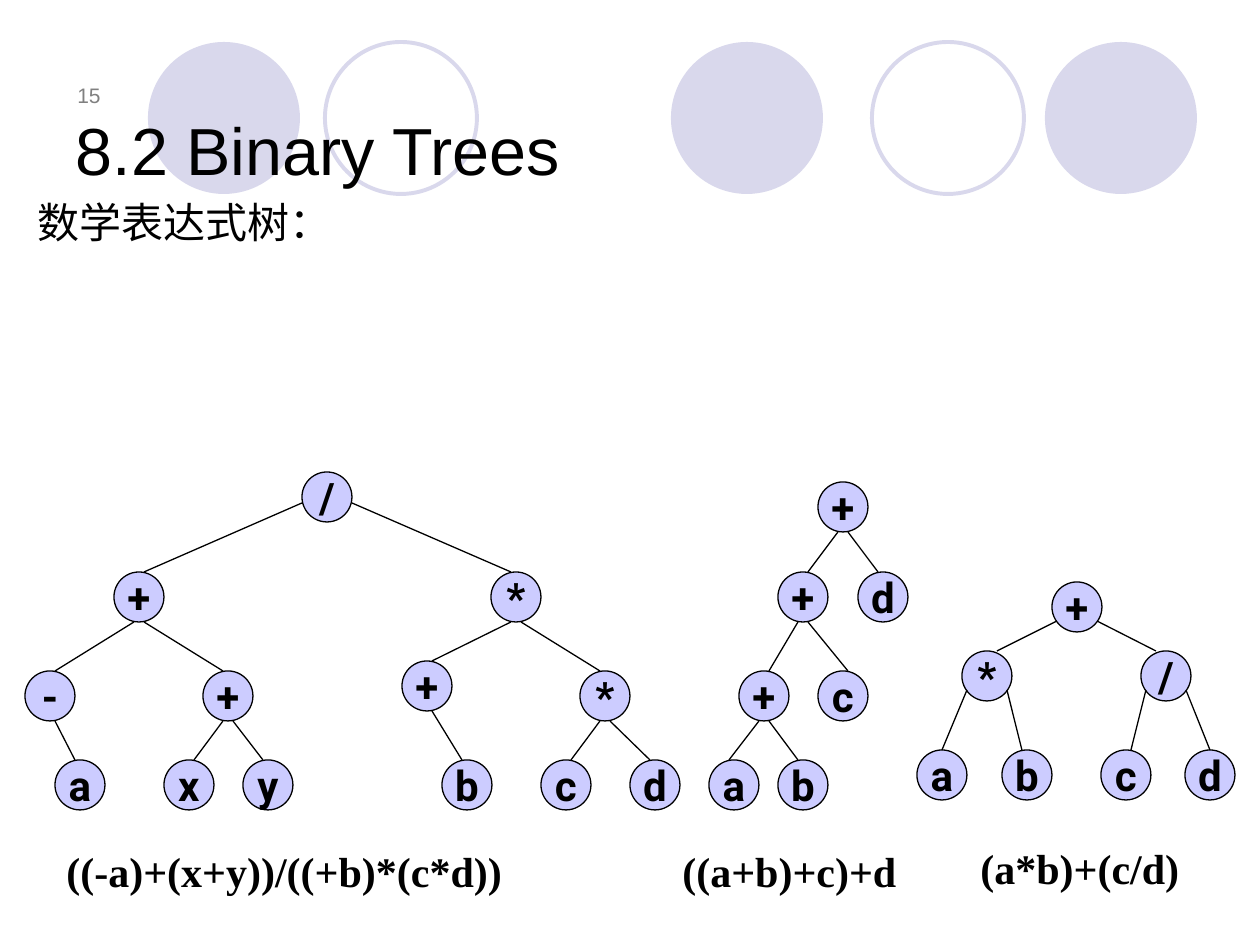
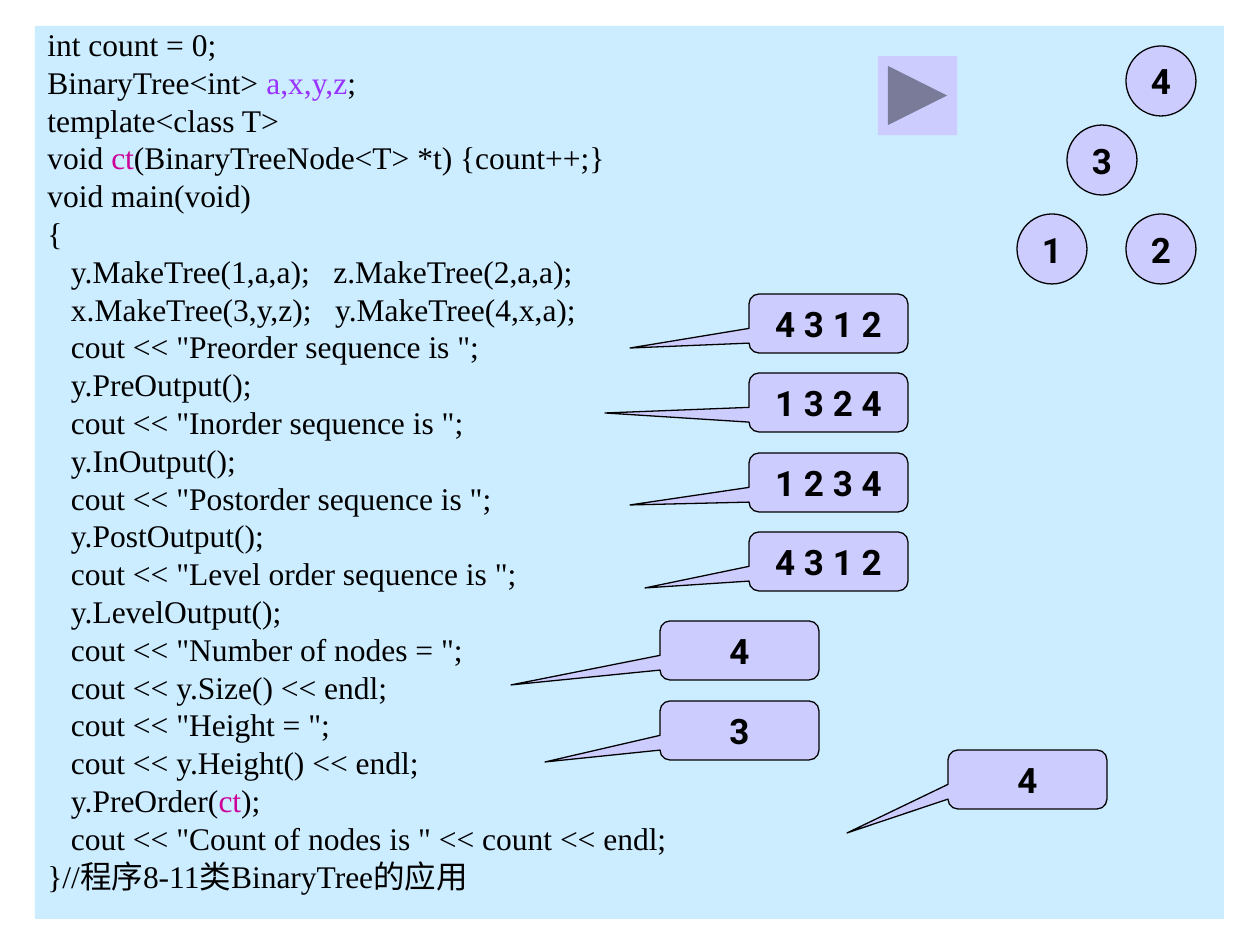
from lxml.etree import SubElement
from pptx import Presentation
from pptx.dml.color import RGBColor
from pptx.enum.shapes import MSO_CONNECTOR, MSO_SHAPE
from pptx.enum.text import MSO_ANCHOR, PP_ALIGN
from pptx.oxml.ns import qn
from pptx.util import Inches, Pt

PX = 914400 // 126
BLACK = RGBColor(0x00, 0x00, 0x00)
GRAY = RGBColor(0x80, 0x80, 0x80)
LILAC = RGBColor(0xCC, 0xCC, 0xFF)
PALE = RGBColor(0xD9, 0xD8, 0xEC)
SKY = RGBColor(0xCC, 0xEC, 0xFF)
PURPLE = RGBColor(0x99, 0x33, 0xFF)
MAGENTA = RGBColor(0xCC, 0x00, 0x99)
ARIAL, ROBOTO, TIMES = "Arial", "Roboto", "Times New Roman"


def add_box(s, kind, x, y, w, h, fill=None, line=None, width=0.75):
    box = (x * PX, y * PX, w * PX, h * PX)
    if kind is None:
        return s.shapes.add_textbox(*box)
    sp = s.shapes.add_shape(kind, *box)
    sp.shadow.inherit = False
    if fill is None:
        sp.fill.background()
    else:
        sp.fill.solid()
        sp.fill.fore_color.rgb = fill
    if line is None:
        sp.line.fill.background()
    else:
        sp.line.color.rgb = line
        sp.line.width = Pt(width)
    return sp


def write(sp, lines, size, font, align=PP_ALIGN.LEFT, anchor=MSO_ANCHOR.TOP, bold=False, wrap=True):
    tf = sp.text_frame
    tf.word_wrap = wrap
    tf.vertical_anchor = anchor
    for i, runs in enumerate(lines):
        p = tf.paragraphs[0] if i == 0 else tf.add_paragraph()
        p.alignment = align
        for text, color in runs:
            r = p.add_run()
            r.text = text
            r.font.size = Pt(size)
            r.font.name = font
            r.font.bold = bold
            r.font.color.rgb = color
    return tf


prs = Presentation()
prs.slide_width = Inches(10)
prs.slide_height = Inches(7.5)

s = prs.slides.add_slide(prs.slide_layouts[5])
for x, filled in [(671, True), (1045, True), (148, True), (872, False), (325, False)]:
    add_box(s, MSO_SHAPE.OVAL, x, 42, 152, 152, PALE if filled else None, None if filled else PALE, 2.25)

sp = add_box(s, None, 44, 55, 69, 59)
write(sp, [[("15", GRAY)]], 12, ARIAL, PP_ALIGN.RIGHT, MSO_ANCHOR.BOTTOM)

title = s.shapes.title
title.left, title.top, title.width, title.height = 63 * PX, 38 * PX, 1134 * PX, 157 * PX
title.element.getparent().append(title.element)
write(title, [[("8.2 Binary Trees", BLACK)]], 38, ARIAL, anchor=MSO_ANCHOR.BOTTOM)

sp = add_box(s, None, 25, 185, 1189, 258)
tf = write(sp, [[("数学表达式树：", BLACK)]], 24, ARIAL)
tf.paragraphs[0].line_spacing = 1.1

# node: label, centre x, centre y, branch spread, branch drop, parent, edge end offset
trees = [
    [
        ("/", 327, 497, 25, 6, None, 0),
        ("+", 139, 597, 5, 25, 0, 5),
        ("*", 516, 597, 5, 25, 0, -5),
        ("-", 50, 696, 5, 25, 1, 5),
        ("+", 228, 696, 5, 25, 1, -5),
        ("+", 427, 686, 5, 25, 2, 5),
        ("*", 605, 696, 5, 25, 2, -5),
        ("a", 80, 785, 5, 25, 3, -5),
        ("x", 189, 785, 5, 25, 4, 5),
        ("y", 268, 785, 5, 25, 4, -5),
        ("b", 467, 785, 5, 25, 5, -5),
        ("c", 566, 785, 5, 25, 6, 5),
        ("d", 655, 785, 5, 25, 6, -5),
    ],
    [
        ("+", 843, 507, 5, 25, None, 0),
        ("+", 803, 597, 5, 25, 0, 5),
        ("d", 883, 597, 5, 25, 0, -5),
        ("+", 764, 696, 5, 25, 1, 5),
        ("c", 843, 696, 5, 25, 1, 5),
        ("a", 734, 785, 5, 25, 3, -5),
        ("b", 803, 785, 5, 25, 3, -5),
    ],
    [
        ("+", 1077, 607, 20, 14, None, 0),
        ("*", 987, 676, 20, 14, 0, 10),
        ("/", 1166, 676, 20, 14, 0, -10),
        ("a", 942, 775, 5, 25, 1, 0),
        ("b", 1027, 775, 5, 25, 1, -5),
        ("c", 1126, 775, 5, 25, 2, 5),
        ("d", 1210, 775, 5, 25, 2, 0),
    ],
]
for nodes in trees:
    for label, x, y, spread, drop, parent, shift in nodes:
        sp = add_box(s, MSO_SHAPE.OVAL, x - 25, y - 25, 50, 50, LILAC, BLACK)
        write(sp, [[(label, BLACK)]], 24, ROBOTO, PP_ALIGN.CENTER, MSO_ANCHOR.MIDDLE, True, False)
        if parent is None:
            continue
        px, py, reach, depth = nodes[parent][1:5]
        side = -1 if x < px else 1
        ends = (px + side * reach, py + depth, x + shift, y - 25)
        cn = s.shapes.add_connector(MSO_CONNECTOR.STRAIGHT, *[v * PX for v in ends])
        cn.line.color.rgb = BLACK
        cn.line.width = Pt(0.75)
        SubElement(cn.element.spPr, qn("a:effectLst"))

for text, x, y, w in [
    ("((-a)+(x+y))/((+b)*(c*d))", 54, 839, 556),
    ("((a+b)+c)+d", 670, 839, 338),
    ("(a*b)+(c/d)", 968, 836, 258),
]:
    sp = add_box(s, None, x, y, w, 63)
    write(sp, [[(text, BLACK)]], 24, TIMES, bold=True)

s = prs.slides.add_slide(prs.slide_layouts[6])
code = [
    [("int count = 0;", BLACK)],
    [("BinaryTree<int> ", BLACK), ("a,x,y,z", PURPLE), (";", BLACK)],
    [("template<class T>", BLACK)],
    [("void ", BLACK), ("ct", MAGENTA), ("(BinaryTreeNode<T> *t) {count++;}", BLACK)],
    [("void main(void)", BLACK)],
    [("{", BLACK)],
    [("   y.MakeTree(1,a,a);   z.MakeTree(2,a,a);", BLACK)],
    [("   x.MakeTree(3,y,z);   y.MakeTree(4,x,a);", BLACK)],
    [('   cout << "Preorder sequence is ";', BLACK)],
    [("   y.PreOutput();", BLACK)],
    [('   cout << "Inorder sequence is ";', BLACK)],
    [("   y.InOutput();", BLACK)],
    [('   cout << "Postorder sequence is ";', BLACK)],
    [("   y.PostOutput();", BLACK)],
    [('   cout << "Level order sequence is ";', BLACK)],
    [("   y.LevelOutput();", BLACK)],
    [('   cout << "Number of nodes = ";', BLACK)],
    [("   cout << y.Size() << endl;", BLACK)],
    [('   cout << "Height = ";', BLACK)],
    [("   cout << y.Height() << endl;", BLACK)],
    [("   y.PreOrder(", BLACK), ("ct", MAGENTA), (");", BLACK)],
    [('   cout << "Count of nodes is " << count << endl;', BLACK)],
    [("}//程序8-11类BinaryTree的应用", BLACK)],
]
sp = add_box(s, MSO_SHAPE.RECTANGLE, 35, 26, 1189, 893, SKY)
tf = write(sp, code, 18, TIMES)
for i, p in enumerate(tf.paragraphs):
    pPr = p._p.get_or_add_pPr()
    pPr.set("marL", str(48 * PX))
    pPr.set("indent", str(-48 * PX))
    p.line_spacing = 0.8
    if i > 0:
        p.space_before = Pt(4.3)

W, H = 159, 59
for text, x, y, tip_x, tip_y in [
    ("4 3 1 2", 749, 294, 630, 348),
    ("1 3 2 4", 749, 373, 605, 413),
    ("1 2 3 4", 749, 453, 630, 505),
    ("4 3 1 2", 749, 532, 645, 588),
    ("4", 660, 621, 511, 685),
    ("3", 660, 701, 545, 762),
    ("4", 948, 750, 847, 833),
]:
    sp = add_box(s, MSO_SHAPE.ROUNDED_RECTANGULAR_CALLOUT, x, y, W, H, LILAC, BLACK)
    sp.adjustments[0] = (tip_x - x) / W - 0.5
    sp.adjustments[1] = (tip_y - y) / H - 0.5
    write(sp, [[(text, BLACK)]], 20, ROBOTO, PP_ALIGN.CENTER, MSO_ANCHOR.MIDDLE, True)

for label, x, y in [("4", 1126, 46), ("3", 1067, 125), ("2", 1126, 214), ("1", 1017, 214)]:
    sp = add_box(s, MSO_SHAPE.OVAL, x, y, 70, 70, LILAC, BLACK)
    write(sp, [[(label, BLACK)]], 20, ROBOTO, PP_ALIGN.CENTER, MSO_ANCHOR.MIDDLE, True, False)

add_box(s, MSO_SHAPE.ACTION_BUTTON_FORWARD_OR_NEXT, 878, 56, 79, 79, LILAC)

prs.save("out.pptx")
